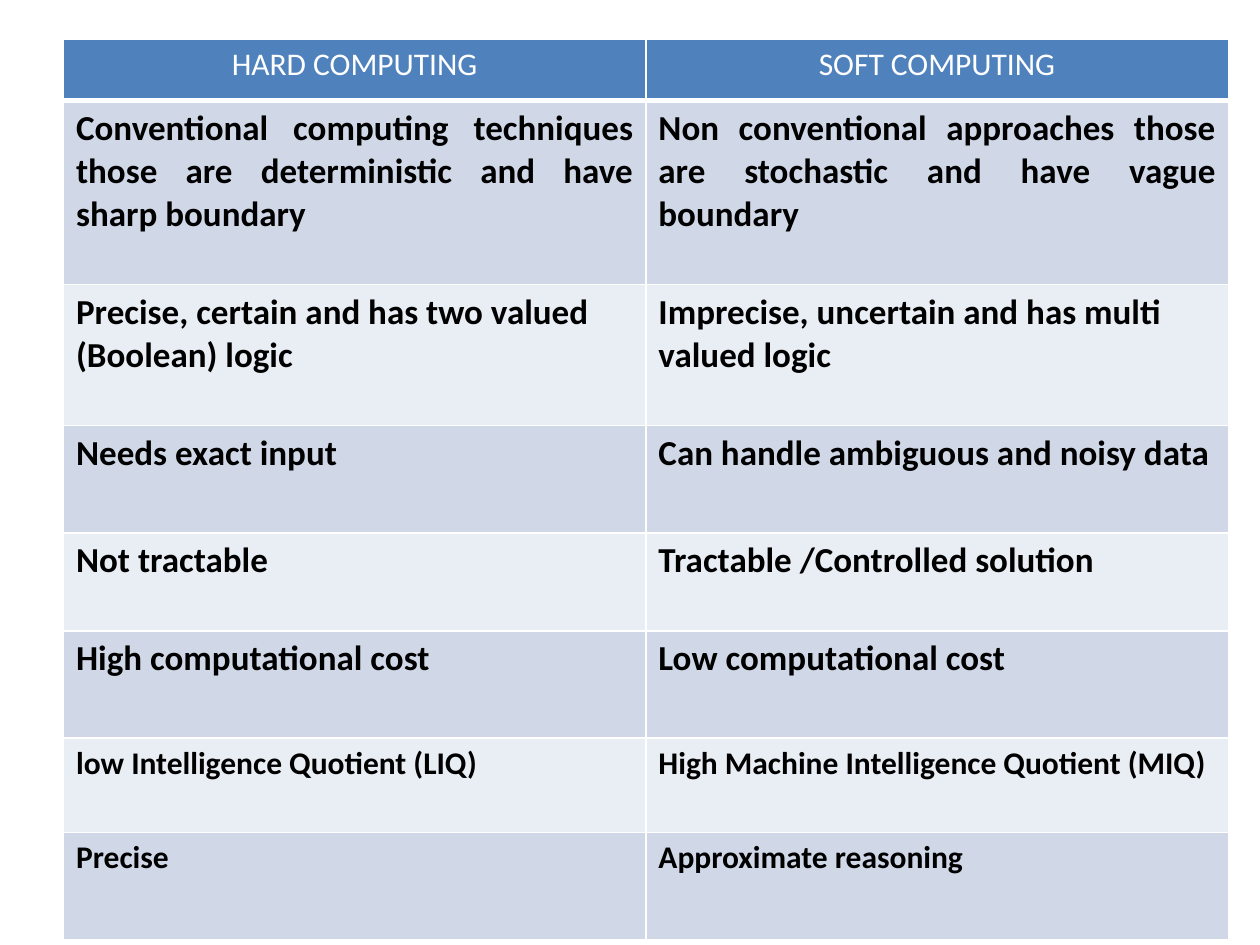
from dataclasses import dataclass

from lxml.etree import SubElement
from pptx import Presentation
from pptx.dml.color import RGBColor as Rgb
from pptx.enum.text import PP_ALIGN as Align
from pptx.oxml.ns import qn
from pptx.table import _Cell as Cell
from pptx.util import Cm, Pt


@dataclass(frozen=True)
class Theme:
    font: str = "Calibri"
    header_fill: str = "4F81BD"
    band_fills: tuple[str, str] = ("D0D8E8", "E9EDF4")
    header_text: str = "FFFFFF"
    body_text: str = "000000"
    border: str = "FFFFFF"
    thin: float = 1
    thick: float = 3
    large: int = 20
    small: int = 18


@dataclass(frozen=True)
class Comparison:
    hard: str
    soft: str
    height: float
    size: int
    align: Align = Align.LEFT


THEME = Theme()
HEADER = Comparison("HARD COMPUTING", "SOFT COMPUTING", 1.23, THEME.small, Align.CENTER)
COMPARISONS = (
    Comparison(
        "Conventional computing techniques those are deterministic and have sharp boundary",
        "Non conventional approaches those are stochastic and have vague boundary",
        3.71, THEME.large, Align.JUSTIFY,
    ),
    Comparison(
        "Precise, certain and has two valued (Boolean) logic",
        "Imprecise, uncertain and has multi valued logic",
        2.84, THEME.large,
    ),
    Comparison("Needs exact input", "Can handle ambiguous and noisy data", 2.16, THEME.large),
    Comparison("Not tractable", "Tractable /Controlled solution", 1.98, THEME.large),
    Comparison("High computational cost", "Low computational cost", 2.16, THEME.large),
    Comparison(
        "low Intelligence Quotient (LIQ)",
        "High Machine Intelligence Quotient (MIQ)",
        1.9, THEME.small,
    ),
    Comparison("Precise", "Approximate reasoning", 2.16, THEME.small),
)


def write_text(cell: Cell, text: str, *, size: int, color: str, bold: bool, align: Align) -> None:
    paragraph = cell.text_frame.paragraphs[0]
    paragraph.alignment = align
    run = paragraph.add_run()
    run.text = text
    run.font.name = THEME.font
    run.font.size = Pt(size)
    run.font.bold = bold
    run.font.color.rgb = Rgb.from_string(color)


def draw_borders(cell: Cell, top: float, bottom: float) -> None:
    properties = cell._tc.get_or_add_tcPr()
    widths = {"L": THEME.thin, "R": THEME.thin, "T": top, "B": bottom}
    for side, width in widths.items():
        line = SubElement(properties, qn(f"a:ln{side}"), w=str(Pt(width)))
        fill = SubElement(line, qn("a:solidFill"))
        SubElement(fill, qn("a:srgbClr"), val=THEME.border)


def draw_row(cells: list[Cell], comparison: Comparison, index: int) -> None:
    is_header = index == 0
    fill = THEME.header_fill if is_header else THEME.band_fills[(index - 1) % 2]
    for cell, text in zip(cells, (comparison.hard, comparison.soft)):
        draw_borders(
            cell,
            top=THEME.thick if index == 1 else THEME.thin,
            bottom=THEME.thick if is_header else THEME.thin,
        )
        cell.fill.solid()
        cell.fill.fore_color.rgb = Rgb.from_string(fill)
        write_text(
            cell,
            text,
            size=comparison.size,
            color=THEME.header_text if is_header else THEME.body_text,
            bold=not is_header,
            align=comparison.align,
        )


def main() -> None:
    """Build the slide comparing hard and soft computing."""
    presentation = Presentation()
    presentation.slide_width, presentation.slide_height = Cm(25.4), Cm(19.05)
    slide = presentation.slides.add_slide(presentation.slide_layouts[6])
    rows = (HEADER, *COMPARISONS)
    height = sum(row.height for row in rows)
    table = slide.shapes.add_table(
        len(rows), 2, Cm(1.28), Cm(0.8), Cm(23.48), Cm(height)
    ).table
    for index, comparison in enumerate(rows):
        table.rows[index].height = Cm(comparison.height)
        draw_row(list(table.rows[index].cells), comparison, index)
    presentation.save("out.pptx")


if __name__ == "__main__":
    main()
